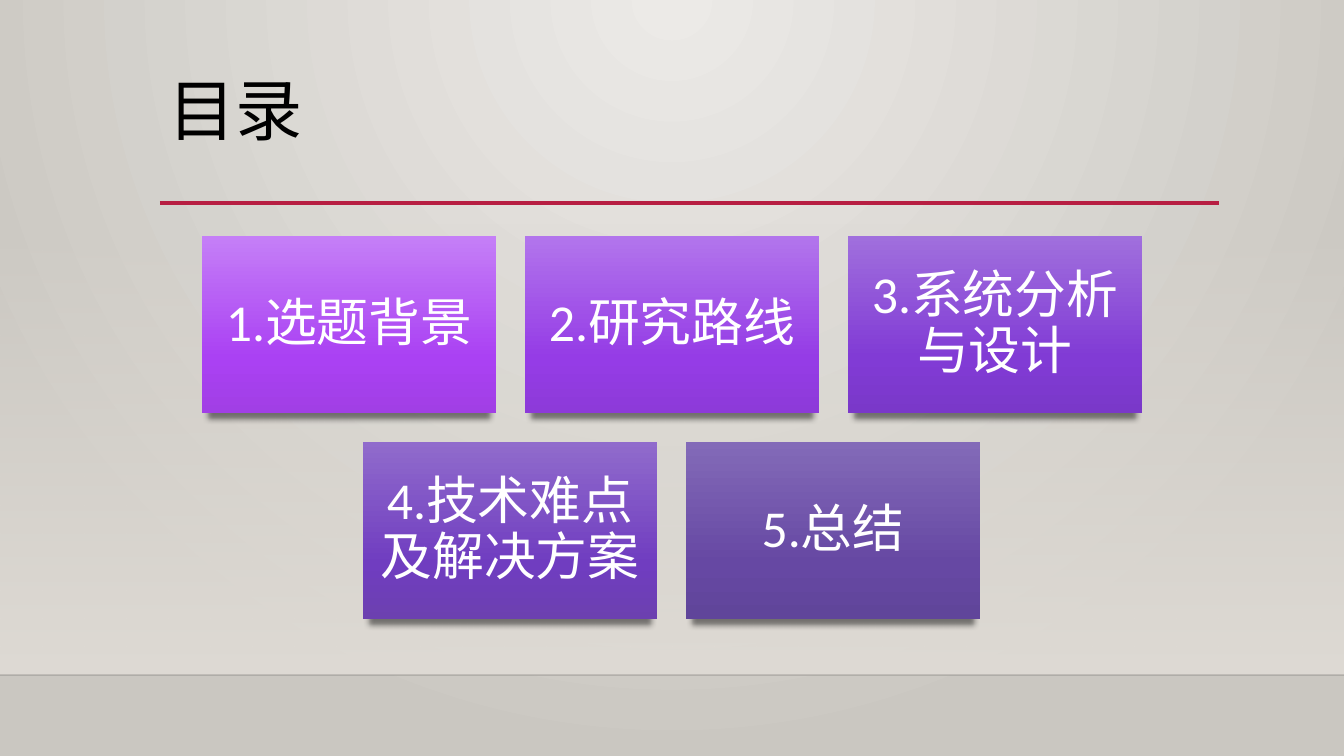
from lxml import etree
from pptx import Presentation
from pptx import util as u
from pptx.dml import color
from pptx.enum import shapes, text
from pptx.oxml import ns, parse_xml

PX = 914400 / 100.8
WIDTH, HEIGHT = 1344, 756
COLORS = {"glow": "ECEAE7", "edge": "CAC7C1", "wall": "DFDBD5", "floor": "000001",
          "rule": "B71E42", "title": "000000", "shadow": "000000", "label": "FFFFFF"}
DOWN = '<a:lin ang="5400000" scaled="0"/>'
FROM_TOP = '<a:path path="circle"><a:fillToRect l="43000" r="43000" b="100000"/></a:path>'


def px(*lengths):
    """Turn pixel lengths into a list of EMU."""
    return [u.Emu(round(length * PX)) for length in lengths]


def set_gradient(element, stops, direction):
    """Replace the first solid fill by a gradient of (position, colour, opacity) stops."""
    marks = "".join(
        f'<a:gs pos="{position * 1000}"><a:srgbClr val="{shade}">'
        f'<a:alpha val="{opacity * 1000}"/></a:srgbClr></a:gs>'
        for position, shade, opacity in stops)
    solid = element.find(".//" + ns.qn("a:solidFill"))
    solid.getparent().replace(solid, parse_xml(
        f'<a:gradFill {ns.nsdecls("a")} rotWithShape="1">'
        f'<a:gsLst>{marks}</a:gsLst>{direction}</a:gradFill>'))


deck = Presentation()
deck.slide_width, deck.slide_height = px(WIDTH, HEIGHT)
slide = deck.slides.add_slide(deck.slide_layouts[5])

# Background and wall
slide.background.fill.solid()
set_gradient(slide.element, [(0, COLORS["glow"], 100), (100, COLORS["edge"], 100)], FROM_TOP)
wall = slide.shapes.add_shape(shapes.MSO_SHAPE.RECTANGLE, *px(0, 223, WIDTH, 452))
wall.shadow.inherit = False
wall.line.fill.background()
wall.fill.solid()
set_gradient(wall.element, [(0, COLORS["wall"], 0), (100, COLORS["wall"], 100)], DOWN)

# Floor edge and title rule
for role, left, right, y, weight, opacity in [("floor", 0, WIDTH, 675, 1, 20),
                                              ("rule", 160, 1219, 203, 2.5, 100)]:
    edge = slide.shapes.add_connector(shapes.MSO_CONNECTOR.STRAIGHT, *px(left, y, right, y))
    edge.line.width = u.Pt(weight)
    edge.line.color.rgb = color.RGBColor.from_string(COLORS[role])
    ink = edge.element.spPr.find(".//" + ns.qn("a:srgbClr"))
    etree.SubElement(ink, ns.qn("a:alpha"), val=str(opacity * 1000))
    etree.SubElement(edge.element.spPr, ns.qn("a:effectLst"))

# Texts: the heading and five topic cards
heading = slide.shapes.title
heading.left, heading.top, heading.width, heading.height = px(158, 72, 921, 131)
labels = [(heading, "目录", "title", "Arial", 48, 0, text.PP_ALIGN.LEFT,
           {"vertical_anchor": text.MSO_ANCHOR.TOP})]

CARD_W, CARD_H, STEP_X, STEP_Y, CARDS_TOP = 294, 177, 323, 206, 236
ROWS = [
    [("1.选题背景", ("C57FF7", "AA41F3", "A13FE5")),
     ("2.研究路线", ("B275EC", "953CE6", "8D3AD9")),
     ("3.系统分析与设计", ("A06FDD", "813BD5", "7A38C9"))],
    [("4.技术难点及解决方案", ("906BCC", "703DC0", "6C40B0")),
     ("5.总结", ("836AB8", "6648A3", "60459A"))],
]
inset = px(15)[0]
card_frame = {"vertical_anchor": text.MSO_ANCHOR.MIDDLE, "margin_left": inset,
              "margin_right": inset, "margin_top": inset, "margin_bottom": inset}
for row, topics in enumerate(ROWS):
    row_left = (WIDTH - (len(topics) - 1) * STEP_X - CARD_W) // 2
    for column, (topic, shades) in enumerate(topics):
        card = slide.shapes.add_shape(
            shapes.MSO_SHAPE.RECTANGLE,
            *px(row_left + column * STEP_X, CARDS_TOP + row * STEP_Y, CARD_W, CARD_H))
        card.line.fill.background()
        card.fill.solid()
        set_gradient(card.element, zip((0, 69, 100), shades, (100, 100, 100)), DOWN)
        card.shadow.inherit = False
        card.element.spPr.find(ns.qn("a:effectLst")).append(parse_xml(
            f'<a:outerShdw {ns.nsdecls("a")} blurRad="50800" dist="50800" dir="5400000" '
            f'sx="96000" sy="96000" rotWithShape="0"><a:srgbClr val="{COLORS["shadow"]}">'
            '<a:alpha val="48000"/></a:srgbClr></a:outerShdw>'))
        labels.append((card, topic, "label", "Calibri", 37, 13,
                       text.PP_ALIGN.CENTER, card_frame))

for holder, words, role, font, size, after, alignment, frame_format in labels:
    frame = holder.text_frame
    frame.text = words
    paragraph = frame.paragraphs[0]
    formats = [
        (frame, {"word_wrap": True, "auto_size": text.MSO_AUTO_SIZE.NONE, **frame_format}),
        (paragraph, {"alignment": alignment, "line_spacing": 0.9, "space_after": u.Pt(after)}),
        (paragraph.runs[0].font, {"name": font, "size": u.Pt(size)}),
    ]
    for part, values in formats:
        for attribute, value in values.items():
            setattr(part, attribute, value)
    paragraph.runs[0].font.color.rgb = color.RGBColor.from_string(COLORS[role])

deck.save("out.pptx")
